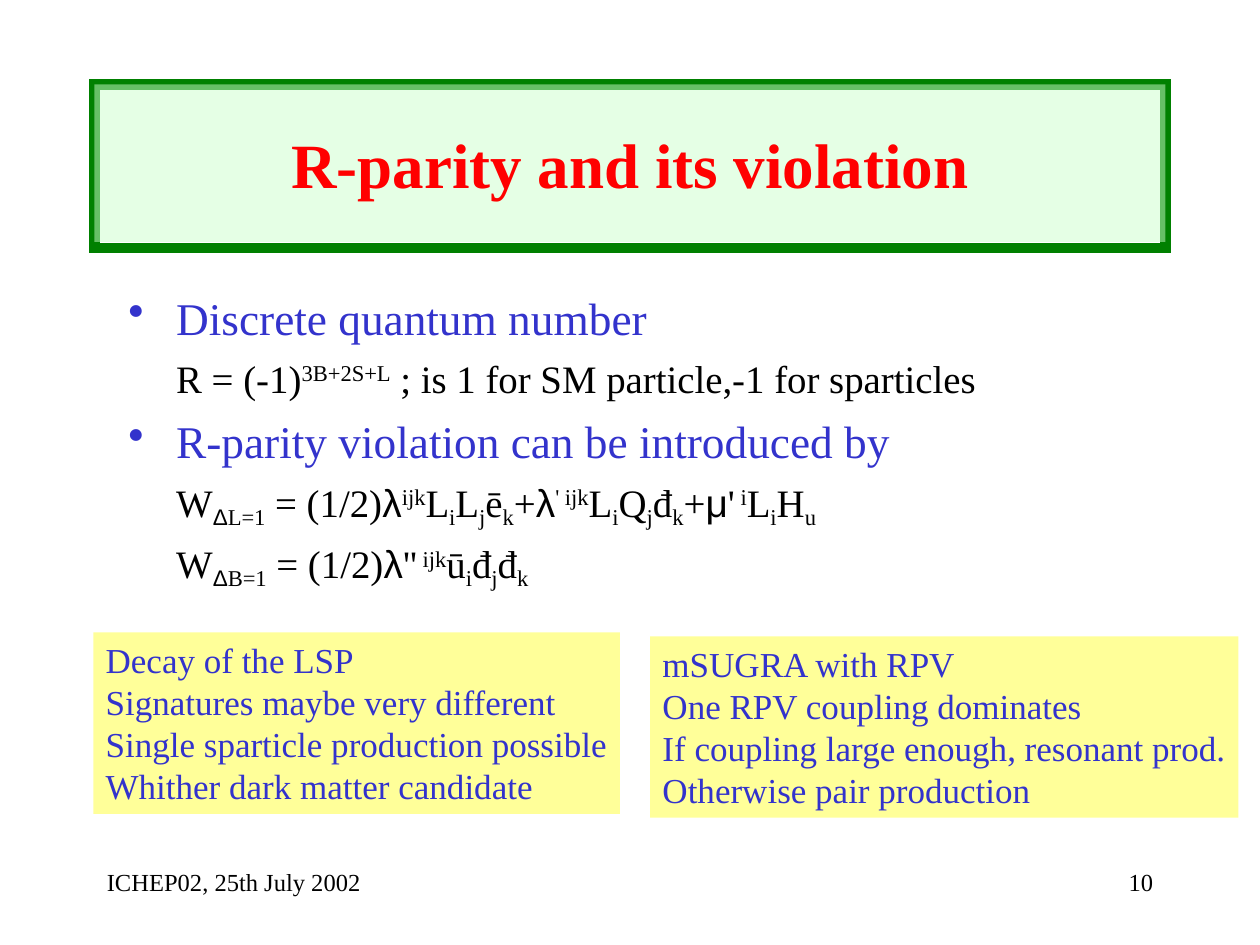
from itertools import groupby

from lxml import etree
from pptx import Presentation
from pptx import util as u
from pptx.dml.color import RGBColor
from pptx.enum import shapes, text
from pptx.oxml.ns import qn

SERIF, GREEK_FONT = "Times New Roman", "Arial"
GREEK = "Δλμ"
BLUE, BLACK, RED = "3333CC", "000000", "FF0000"
SUP, BASE, SUB = 30, 0, -20
HANG = u.Inches(0.38)


def color(hex_code):
    return RGBColor.from_string(hex_code)


def box(left, top, width, height):
    return [u.Inches(n) for n in (left, top, width, height)]


def set_format(target, values):
    for name, value in values.items():
        setattr(target, name, value)


def add_run(paragraph, words, size, ink, font=SERIF, bold=False, level=BASE):
    run = paragraph.add_run()
    run.text = words
    set_format(run.font, {"name": font, "size": u.Pt(size), "bold": bold})
    run.font.color.rgb = color(ink)
    if level:
        run.font._element.set("baseline", str(level * 1000))


def add_formula(paragraph, pieces):
    """Each piece is (words, level); Greek letters get their own font."""
    for words, level in pieces:
        for is_greek, letters in groupby(words, lambda c: c in GREEK):
            add_run(paragraph, "".join(letters), 22.2, BLACK,
                    GREEK_FONT if is_greek else SERIF, level=level)


def add_bullet(paragraph):
    props = paragraph._p.get_or_add_pPr()
    props.set("marL", str(HANG))
    props.set("indent", str(-HANG))
    bullet_color = etree.SubElement(props, qn("a:buClr"))
    etree.SubElement(bullet_color, qn("a:srgbClr"), val=BLUE)
    etree.SubElement(props, qn("a:buChar"), char="•")


def add_panel(slide, area, fill=None):
    panel = slide.shapes.add_shape(shapes.MSO_SHAPE.RECTANGLE, *area)
    panel.shadow.inherit = False
    panel.line.fill.background()
    if fill:
        panel.fill.solid()
        panel.fill.fore_color.rgb = color(fill)
    else:
        panel.fill.background()
    return panel


def add_title(slide, area, words):
    left, top, width, height = area
    # Green frame, slightly taller than the tinted panel
    frame = add_panel(slide, (left, top, width, height + u.Inches(0.05)))
    frame.line.color.rgb = color("008000")
    frame.line.width = u.Pt(6)
    etree.SubElement(frame.line._ln, qn("a:miter"), lim="800000")

    # Half transparent panel holding the title
    panel = add_panel(slide, area, "CCFFCC")
    tint = panel._element.spPr.find(".//" + qn("a:srgbClr"))
    etree.SubElement(tint, qn("a:alpha"), val="50000")
    set_format(panel.text_frame, {
        "word_wrap": True, "vertical_anchor": text.MSO_ANCHOR.MIDDLE})
    heading = panel.text_frame.paragraphs[0]
    heading.alignment = text.PP_ALIGN.CENTER
    add_run(heading, words, 36, RED, bold=True)


def add_body(slide, area, topics):
    frame = slide.shapes.add_textbox(*area).text_frame
    frame.word_wrap = True
    paragraph = frame.paragraphs[0]
    for number, (topic, formulas) in enumerate(topics):
        if number:
            paragraph = frame.add_paragraph()
            paragraph.space_before = u.Pt(7)
        add_bullet(paragraph)
        add_run(paragraph, topic, 25.9, BLUE)
        for pieces in formulas:
            line = frame.add_paragraph()
            line.space_before = u.Pt(6)
            line._p.get_or_add_pPr().set("marL", str(HANG))
            add_formula(line, pieces)


def add_note(slide, area, lines):
    note = add_panel(slide, area, "FFFF99")
    frame = note.text_frame
    set_format(frame, {
        "word_wrap": False, "vertical_anchor": text.MSO_ANCHOR.TOP,
        "auto_size": text.MSO_AUTO_SIZE.SHAPE_TO_FIT_TEXT})
    for number, words in enumerate(lines):
        paragraph = frame.add_paragraph() if number else frame.paragraphs[0]
        paragraph.alignment = text.PP_ALIGN.LEFT
        add_run(paragraph, words, 20, BLUE)


def add_footer(slide, area, words, alignment):
    frame = slide.shapes.add_textbox(*area).text_frame
    frame.word_wrap = True
    frame.paragraphs[0].alignment = alignment
    add_run(frame.paragraphs[0], words, 14, BLACK)


TOPICS = [
    ("Discrete quantum number", [
        [("R = (-1)", BASE), ("3B+2S+L", SUP),
         (" ; is 1 for SM particle,-1 for sparticles", BASE)],
    ]),
    ("R-parity violation can be introduced by", [
        [("W", BASE), ("ΔL=1", SUB), (" = (1/2)λ", BASE), ("ijk", SUP),
         ("L", BASE), ("i", SUB), ("L", BASE), ("j", SUB),
         ("ē", BASE), ("k", SUB), ("+λ", BASE), ("' ijk", SUP),
         ("L", BASE), ("i", SUB), ("Q", BASE), ("j", SUB),
         ("đ", BASE), ("k", SUB), ("+μ'", BASE), (" i", SUP),
         ("L", BASE), ("i", SUB), ("H", BASE), ("u", SUB)],
        [("W", BASE), ("ΔB=1", SUB), (" = (1/2)λ''", BASE), (" ijk", SUP),
         ("ū", BASE), ("i", SUB), ("đ", BASE), ("j", SUB),
         ("đ", BASE), ("k", SUB)],
    ]),
]
DECAY = ["Decay of the LSP", "Signatures maybe very different",
         "Single sparticle production possible",
         "Whither dark matter candidate"]
MODEL = ["mSUGRA with RPV", "One RPV coupling dominates",
         "If coupling large enough, resonant prod.",
         "Otherwise pair production"]


def main():
    deck = Presentation()
    set_format(deck, {"slide_width": u.Inches(10),
                      "slide_height": u.Inches(7.5)})
    slide = deck.slides.add_slide(deck.slide_layouts[6])
    add_title(slide, box(0.75, 0.67, 8.5, 1.25), "R-parity and its violation")
    add_body(slide, box(0.92, 2.25, 8.5, 2.58), TOPICS)
    add_note(slide, box(0.74, 5.02, 4.18, 1.44), DECAY)
    add_note(slide, box(5.16, 5.05, 4.67, 1.44), MODEL)
    add_footer(slide, box(7.17, 6.83, 2.08, 0.5), "10", text.PP_ALIGN.RIGHT)
    add_footer(slide, box(0.75, 6.83, 2.5, 0.5), "ICHEP02, 25th July 2002",
               text.PP_ALIGN.LEFT)
    deck.save("out.pptx")


if __name__ == "__main__":
    main()
